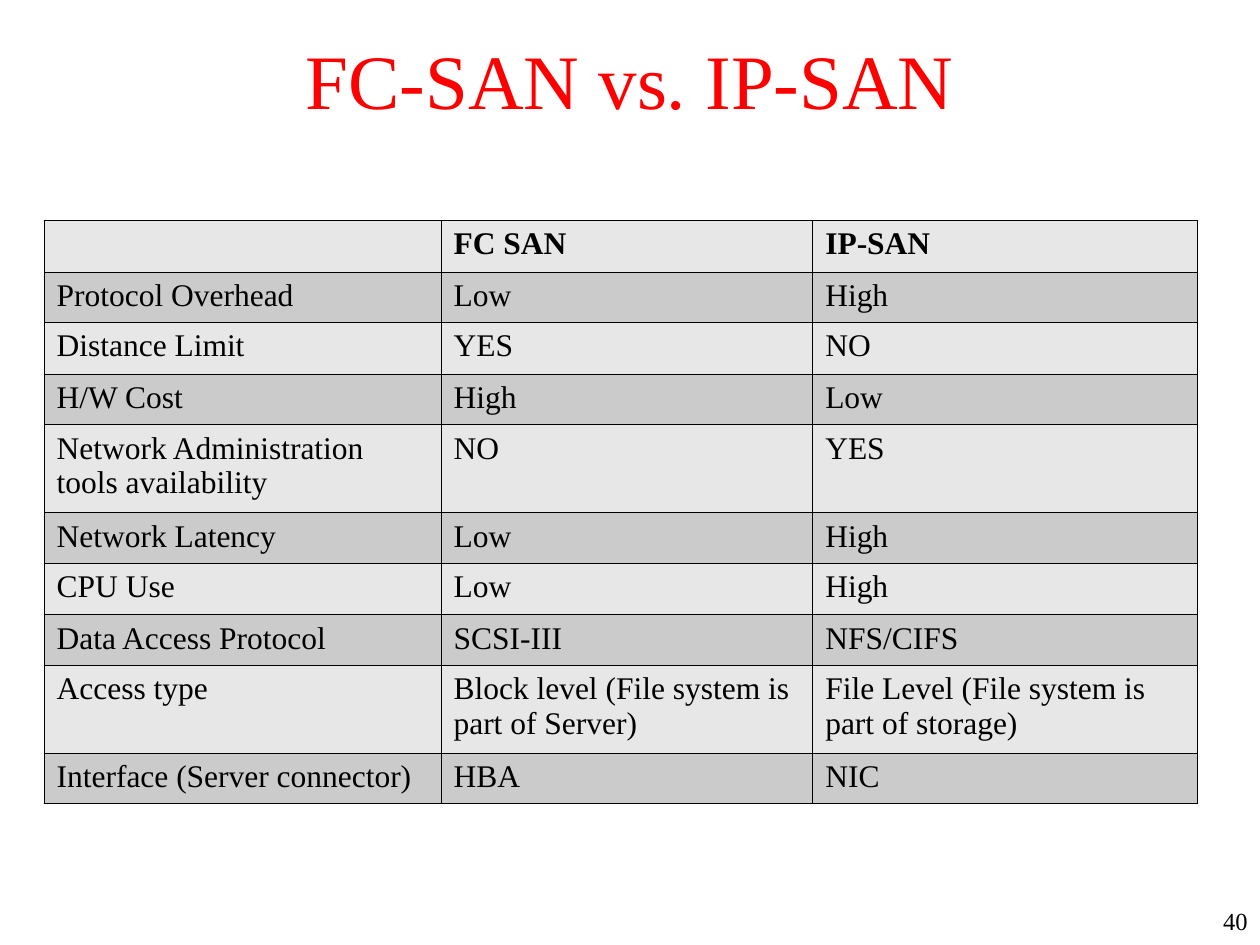
"""Build a slide with a table that compares FC-SAN with IP-SAN."""
from lxml import etree
from pptx import Presentation
from pptx.dml.color import RGBColor
from pptx.enum.text import MSO_ANCHOR, PP_ALIGN
from pptx.oxml.ns import qn
from pptx.util import Inches, Pt

LEFT, CENTER, RIGHT = PP_ALIGN.LEFT, PP_ALIGN.CENTER, PP_ALIGN.RIGHT
MIDDLE = MSO_ANCHOR.MIDDLE
FONT = "Times New Roman"
BANDS = ["E7E7E7", "CBCBCB"]
COL_WIDTHS = [3.15, 2.95, 3.05]
ROW_HEIGHTS = [0.41, 0.4, 0.41, 0.4, 0.7, 0.4, 0.41, 0.4, 0.7, 0.4]
ROWS = [
    ("", "FC SAN", "IP-SAN"),
    ("Protocol Overhead", "Low", "High"),
    ("Distance Limit", "YES", "NO"),
    ("H/W Cost", "High", "Low"),
    ("Network Administration tools availability", "NO", "YES"),
    ("Network Latency", "Low", "High"),
    ("CPU Use", "Low", "High"),
    ("Data Access Protocol", "SCSI-III", "NFS/CIFS"),
    ("Access type", "Block level (File system is part of Server)",
     "File Level (File system is part of storage)"),
    ("Interface (Server connector)", "HBA", "NIC"),
]


def rgb(color):
    """Turn a hex string into a colour."""
    return RGBColor.from_string(color)


def write(tf, text, size=18, color="000000", bold=False, align=LEFT):
    """Put one formatted paragraph into a text frame."""
    p = tf.paragraphs[0]
    p.alignment = align
    p.font.size = Pt(size)
    if text:
        r = p.add_run()
        r.text = text
        r.font.name = FONT
        r.font.size = Pt(size)
        r.font.bold = bold
        r.font.color.rgb = rgb(color)


prs = Presentation()
prs.slide_width, prs.slide_height = Inches(10), Inches(7.5)
s = prs.slides.add_slide(prs.slide_layouts[5])

title = s.shapes.title
title.left, title.top = Inches(0.75), Inches(0)
title.width, title.height = Inches(8.5), Inches(1.25)
title.text_frame.vertical_anchor = MIDDLE
write(title.text_frame, "FC-SAN vs. IP-SAN", size=44, color="FF0000", align=CENTER)

table = s.shapes.add_table(
    len(ROWS), len(COL_WIDTHS), Inches(0.35), Inches(1.75),
    Inches(sum(COL_WIDTHS)), Inches(sum(ROW_HEIGHTS))).table
for col, width in zip(table.columns, COL_WIDTHS):
    col.width = Inches(width)
for i, (values, height) in enumerate(zip(ROWS, ROW_HEIGHTS)):
    table.rows[i].height = Inches(height)
    for j, value in enumerate(values):
        cell = table.cell(i, j)
        write(cell.text_frame, value, bold=i == 0)
        tcPr = cell._tc.get_or_add_tcPr()
        for side in ("a:lnL", "a:lnR", "a:lnT", "a:lnB"):
            ln = etree.SubElement(tcPr, qn(side), w=str(Pt(0.45)))
            fill = etree.SubElement(ln, qn("a:solidFill"))
            etree.SubElement(fill, qn("a:srgbClr"), val="000000")
        cell.fill.solid()
        cell.fill.fore_color.rgb = rgb(BANDS[i % 2])

sp = s.shapes.add_textbox(Inches(9.47), Inches(7.14), Inches(0.53), Inches(0.36))
sp.text_frame.word_wrap = True
write(sp.text_frame, "40", size=14, align=RIGHT)

prs.save("out.pptx")
